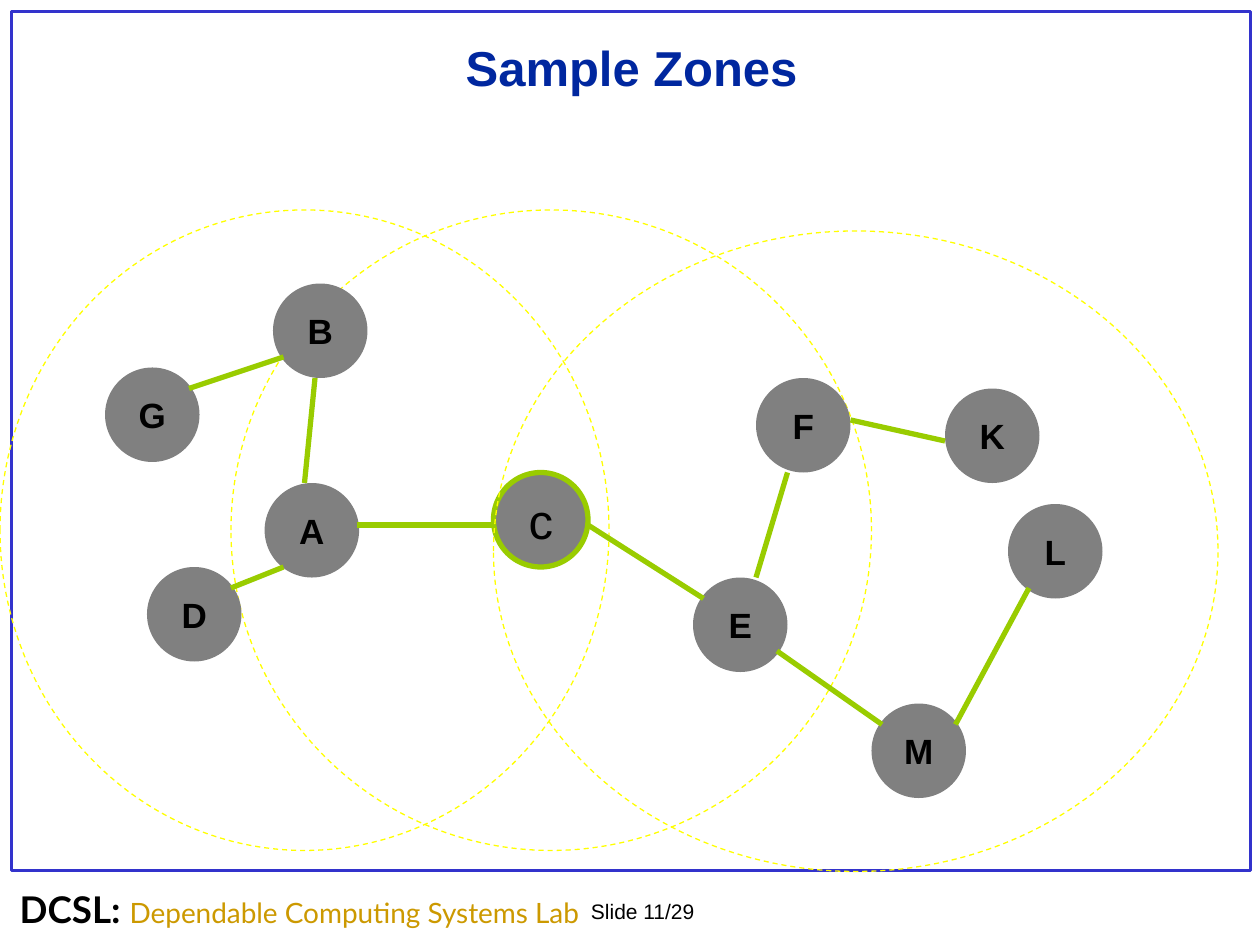
from lxml import etree
from pptx import Presentation
from pptx import util as u
from pptx.dml.color import RGBColor
from pptx.enum import dml, shapes, text
from pptx.oxml.ns import qn

BLACK = RGBColor(0x00, 0x00, 0x00)
NAVY = RGBColor(0x00, 0x27, 0x9F)
BLUE = RGBColor(0x33, 0x33, 0xCC)
GOLD = RGBColor(0xCC, 0x99, 0x00)
YELLOW = RGBColor(0xFF, 0xFF, 0x00)
GREEN = RGBColor(0x99, 0xCC, 0x00)
GRAY = RGBColor(0x80, 0x80, 0x80)

COLS = 120
ROWS = 90
NODE = 9


class Board:
    font = "Arial"

    def __init__(self, deck):
        self.cell_w = deck.slide_width / COLS
        self.cell_h = deck.slide_height / ROWS
        self.slide = deck.slides.add_slide(deck.slide_layouts[6])

    def span(self, x, y, w, h):
        return [round(n * cell) for n, cell in
                zip((x, y, w, h), (self.cell_w, self.cell_h) * 2)]

    def style(self, run, size, color=BLACK, bold=False, font=None):
        run.font.size = u.Pt(size)
        run.font.color.rgb = color
        run.font.bold = bold
        run.font.name = font or self.font

    def stroke(self, item, color, width):
        item.line.color.rgb = color
        item.line.width = u.Pt(width)

    def shape(self, kind, area):
        item = self.slide.shapes.add_shape(kind, *self.span(*area))
        item.shadow.inherit = False
        item.fill.background()
        item.line.fill.background()
        return item

    def frame(self, area):
        self.stroke(self.shape(shapes.MSO_SHAPE.RECTANGLE, area), BLUE, 1.5)

    def zone(self, area):
        item = self.shape(shapes.MSO_SHAPE.OVAL, area)
        self.stroke(item, YELLOW, 0.75)
        item.line.dash_style = dml.MSO_LINE.DASH

    def node(self, name, x, y, size=20, bold=True, gap=5):
        item = self.shape(shapes.MSO_SHAPE.OVAL, (x, y, NODE, NODE))
        item.fill.solid()
        item.fill.fore_color.rgb = GRAY
        body = item.text_frame
        body.text = name
        body.word_wrap = False
        body.vertical_anchor = text.MSO_ANCHOR.MIDDLE
        para = body.paragraphs[0]
        para.alignment = text.PP_ALIGN.CENTER
        para.space_before = u.Pt(gap)
        self.style(para.runs[0], size, bold=bold)
        return item

    def link(self, x1, y1, x2, y2):
        line = self.slide.shapes.add_connector(
            shapes.MSO_CONNECTOR.STRAIGHT, *self.span(x1, y1, x2, y2))
        self.stroke(line, GREEN, 3)
        etree.SubElement(line._element.spPr, qn("a:effectLst"))

    def label(self, area, parts, align=text.PP_ALIGN.LEFT,
              anchor=text.MSO_ANCHOR.TOP, pitch=None):
        body = self.slide.shapes.add_textbox(*self.span(*area)).text_frame
        body.word_wrap = True
        body.vertical_anchor = anchor
        para = body.paragraphs[0]
        para.alignment = align
        para.line_spacing = pitch
        for words, look in parts:
            run = para.add_run()
            run.text = words
            self.style(run, **look)


def main():
    deck = Presentation()
    deck.slide_width = u.Inches(10)
    deck.slide_height = u.Inches(7.5)
    board = Board(deck)

    board.frame((1.1, 1.1, 118, 81.8))
    board.label((55.1, 85, 19.3, 3.6), [("Slide 11/29", dict(size=12))])
    board.label((0.7, 84.7, 58.7, 7.2), [
        ("DCSL: ", dict(size=21, bold=True, font="Lato")),
        ("Dependable Computing Systems Lab",
         dict(size=16, color=GOLD, font="Lato")),
    ], pitch=0.8)

    board.zone((22, 20, 61, 61))
    board.label((2.9, 2.9, 114.5, 7),
                [("Sample Zones", dict(size=28, color=NAVY, bold=True))],
                text.PP_ALIGN.CENTER, text.MSO_ANCHOR.MIDDLE)
    board.zone((0, 20, 58, 61))

    hub = board.node("c", 47, 45, size=28, bold=False, gap=7)
    board.stroke(hub, GREEN, 3)
    for name, x, y in [
        ("F", 72, 36), ("A", 25.2, 46), ("E", 66, 55),
        ("B", 26, 27), ("M", 83, 67), ("K", 90, 37),
        ("L", 96, 48), ("G", 10, 35), ("D", 14, 54),
    ]:
        board.node(name, x, y)

    for ends in [
        (18, 37, 27, 34), (29, 46, 30, 36), (22, 56, 27, 54),
        (34, 50, 47, 50), (56, 50, 67, 57), (72, 55, 75, 45),
        (81, 40, 90, 42), (74, 62, 84, 69), (91, 69, 98, 56),
    ]:
        board.link(*ends)

    board.zone((47, 22, 69, 61))
    deck.save("out.pptx")


if __name__ == "__main__":
    main()
